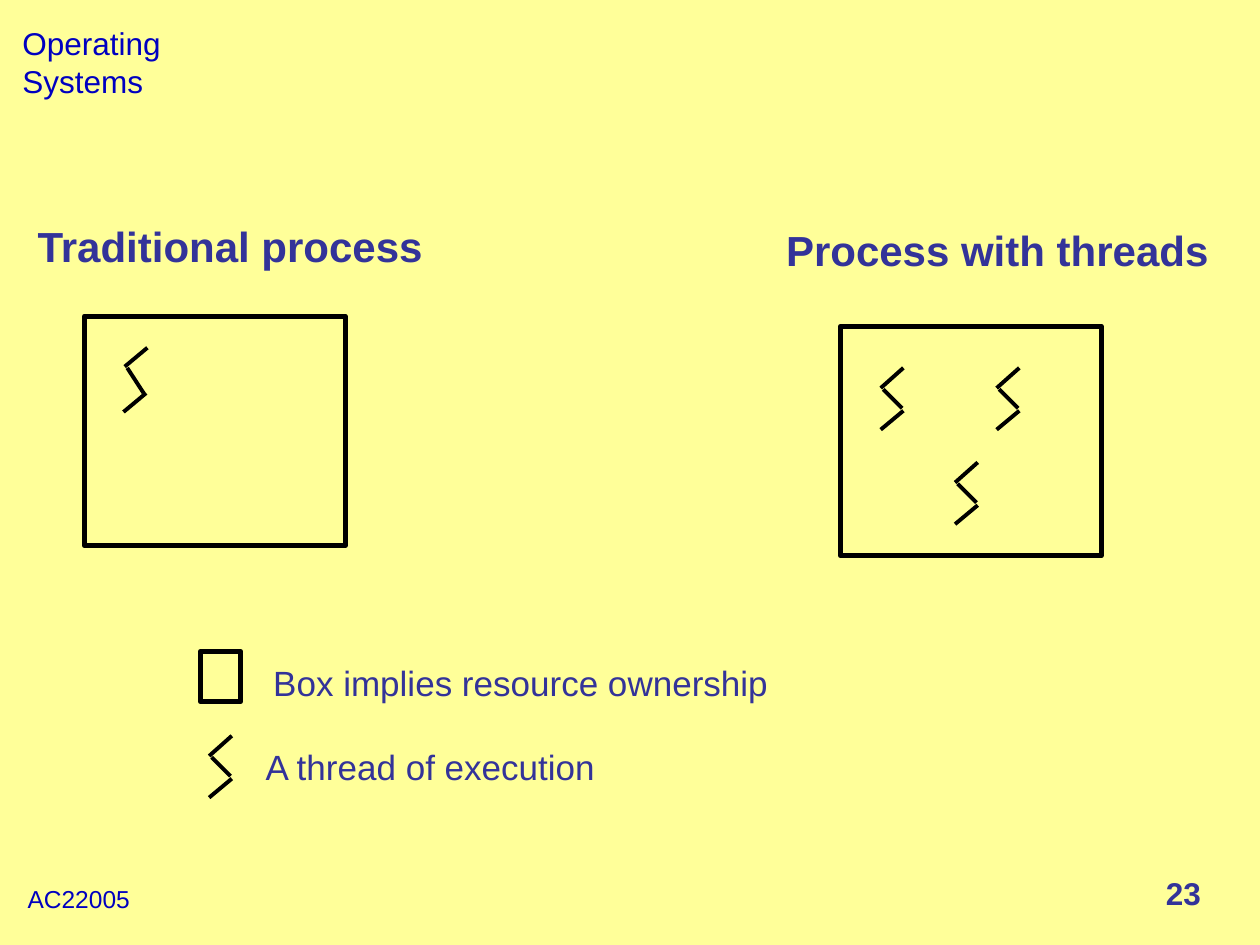
from pptx import Presentation
from pptx.dml.color import RGBColor
from pptx.enum.shapes import MSO_CONNECTOR as CONN, MSO_SHAPE as SHAPE
from pptx.enum.text import MSO_AUTO_SIZE as AUTO, PP_ALIGN as ALIGN
from pptx.oxml.ns import qn
from pptx.util import Inches, Pt
from lxml.etree import SubElement

THREAD = [(0.18, 0, 0, 0.16), (0.02, 0.17, 0.17, 0.32), (0.18, 0.34, 0, 0.49)]
TALL_THREAD = [(0.19, 0, 0.01, 0.15), (0.03, 0.16, 0.16, 0.36), (0.18, 0.36, 0, 0.51)]


def color(value):
    return RGBColor.from_string(value)


class Deck:
    font = "Arial"
    background = "FFFF99"
    ink = "000000"
    body = "333399"
    accent = "0000C0"

    def __init__(self):
        self.prs = Presentation()
        self.prs.slide_width, self.prs.slide_height = Inches(10), Inches(7.5)
        self.s = self.prs.slides.add_slide(self.prs.slide_layouts[6])
        fill = self.s.background.fill
        fill.solid()
        fill.fore_color.rgb = color(self.background)

    def text(self, wording, x, y, w, h, size, ink=body, bold=False, align=ALIGN.LEFT):
        tf = self.s.shapes.add_textbox(*map(Inches, (x, y, w, h))).text_frame
        tf.word_wrap = False
        tf.auto_size = AUTO.SHAPE_TO_FIT_TEXT
        p = tf.paragraphs[0]
        p.text = wording
        p.alignment = align
        p.font.name = self.font
        p.font.size = Pt(size)
        p.font.bold = bold
        p.font.color.rgb = color(ink)

    def box(self, x, y, w, h):
        sp = self.s.shapes.add_shape(SHAPE.RECTANGLE, *map(Inches, (x, y, w, h)))
        sp.shadow.inherit = False
        sp.fill.background()
        sp.line.color.rgb = color(self.ink)
        sp.line.width = Pt(3)

    def line(self, x1, y1, x2, y2):
        sp = self.s.shapes.add_connector(CONN.STRAIGHT, *map(Inches, (x1, y1, x2, y2)))
        sp.line.color.rgb = color(self.ink)
        sp.line.width = Pt(2.25)
        SubElement(sp._element.spPr, qn("a:effectLst"))

    def thread(self, x, y, strokes=THREAD):
        for x1, y1, x2, y2 in strokes:
            self.line(x + x1, y + y1, x + x2, y + y2)


def main():
    deck = Deck()
    deck.text("Operating Systems", 0.08, 0.14, 2.32, 0.4, 18, deck.accent)
    deck.text("23", 8.22, 6.89, 1.41, 0.4, 18, bold=True, align=ALIGN.RIGHT)
    deck.text("AC22005", 0.12, 6.97, 1.01, 0.33, 14, deck.accent)

    deck.text("Traditional process", 0.2, 1.7, 3.27, 0.5, 24, bold=True)
    deck.box(0.67, 2.51, 2.07, 1.82)
    deck.thread(0.98, 2.76, TALL_THREAD)

    deck.text("Process with threads", 6.14, 1.73, 3.55, 0.5, 24, bold=True)
    deck.box(6.67, 2.59, 2.07, 1.82)
    for x, y in [(6.99, 2.92), (7.91, 2.92), (7.58, 3.67)]:
        deck.thread(x, y)

    deck.box(1.59, 5.17, 0.32, 0.4)
    deck.text("Box implies resource ownership", 2.07, 5.2, 4.13, 0.43, 20)
    deck.thread(1.66, 5.84)
    deck.text("A thread of execution", 2.01, 5.87, 2.83, 0.43, 20)

    deck.prs.save("out.pptx")


if __name__ == "__main__":
    main()
